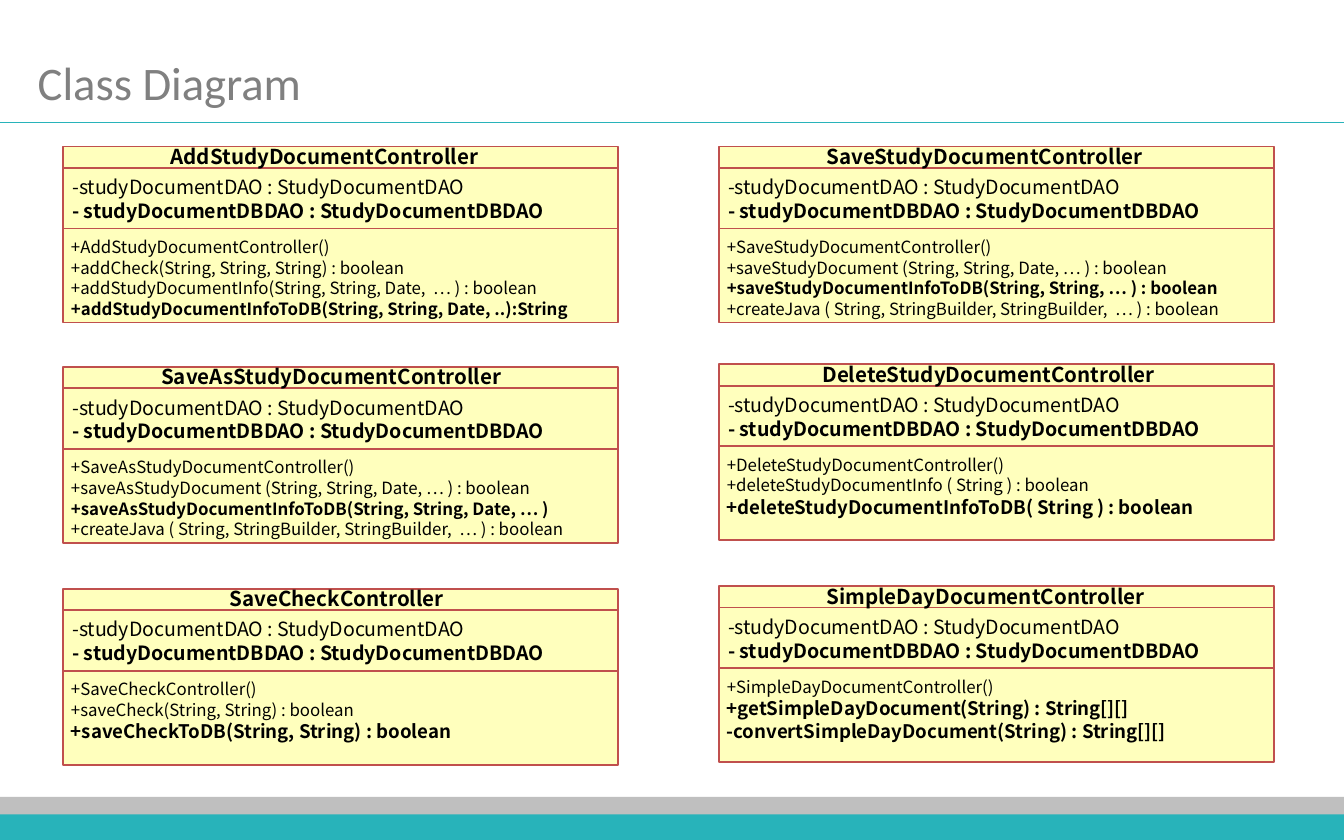
import pptx
import pptx.dml.color
import pptx.enum.shapes
import pptx.enum.text
import pptx.oxml
import pptx.oxml.ns
import pptx.util
from pptx.util import Inches

RGB = pptx.dml.color.RGBColor
TEAL = RGB(0x28, 0xB3, 0xBA)
SILVER = RGB(0xBF, 0xBF, 0xBF)
GRAY = RGB(0x80, 0x80, 0x80)
BLACK = RGB(0x00, 0x00, 0x00)
CREAM = RGB(0xFF, 0xFF, 0xBD)
BRICK = RGB(0xC0, 0x50, 0x4D)

CLASS_FONT = "Noto Sans CJK KR"
LINE_HEIGHT = 1.22
CARD_WIDTH, CARD_HEIGHT = 4.13, 1.31

# Lines of text are (wording, size in points, bold).
ATTRIBUTES = [
    ("-studyDocumentDAO : StudyDocumentDAO", 10.5, False),
    ("- studyDocumentDBDAO : StudyDocumentDBDAO", 10.5, True),
]
CREATE_JAVA = ("+createJava ( String, StringBuilder, StringBuilder,  … ) : boolean", 9, False)

# Each class: card left, card top, indent of the name, name, methods after the constructor.
CLASSES = [
    (0.47, 1.09, 0.70, "AddStudyDocumentController", [
        ("+addCheck(String, String, String) : boolean", 9, False),
        ("+addStudyDocumentInfo(String, String, Date,  … ) : boolean", 9, False),
        ("+addStudyDocumentInfoToDB(String, String, Date, ..):String", 9, True)]),
    (5.35, 1.09, 0.70, "SaveStudyDocumentController", [
        ("+saveStudyDocument (String, String, Date, … ) : boolean", 9, False),
        ("+saveStudyDocumentInfoToDB(String, String, … ) : boolean", 9, True),
        CREATE_JAVA]),
    (0.47, 2.73, 0.63, "SaveAsStudyDocumentController", [
        ("+saveAsStudyDocument (String, String, Date, … ) : boolean", 9, False),
        ("+saveAsStudyDocumentInfoToDB(String, String, Date, … )", 9, True),
        CREATE_JAVA]),
    (5.35, 2.71, 0.67, "DeleteStudyDocumentController", [
        ("+deleteStudyDocumentInfo ( String ) : boolean", 9, False),
        ("+deleteStudyDocumentInfoToDB( String ) : boolean", 10, True)]),
    (0.47, 4.38, 1.14, "SaveCheckController", [
        ("+saveCheck(String, String) : boolean", 9, False),
        ("+saveCheckToDB(String, String) : boolean", 10, True)]),
    (5.35, 4.36, 0.70, "SimpleDayDocumentController", [
        ("+getSimpleDayDocument(String) : String[][]", 10, True),
        ("-convertSimpleDayDocument(String) : String[][]", 10, True)]),
]


def add_rectangle(page, left, top, width, height, fill, line=None):
    shape = page.shapes.add_shape(
        pptx.enum.shapes.MSO_SHAPE.RECTANGLE,
        Inches(left), Inches(top), Inches(width), Inches(height))
    shape.shadow.inherit = False
    shape.fill.solid()
    shape.fill.fore_color.rgb = fill
    if line is None:
        shape.line.fill.background()
    else:
        shape.line.color.rgb = line
        shape.line.width = pptx.util.Pt(1)


def add_rule(page, left, top, width, color, points):
    """Draw a horizontal line without a shadow."""
    rule = page.shapes.add_connector(
        pptx.enum.shapes.MSO_CONNECTOR.STRAIGHT,
        Inches(left), Inches(top), Inches(left + width), Inches(top))
    rule.line.color.rgb = color
    rule.line.width = pptx.util.Pt(points)
    properties = rule._element.spPr
    properties.append(pptx.oxml.parse_xml(
        "<a:effectLst %s/>" % pptx.oxml.ns.nsdecls("a")))


def add_lines(page, left, top, width, height, lines):
    """Add a text box with one paragraph for each line."""
    box = page.shapes.add_textbox(
        Inches(left), Inches(top), Inches(width), Inches(height))
    frame = box.text_frame
    frame.word_wrap = True
    frame.text = "\n".join(text for text, size, bold in lines)
    for para, (text, size, bold) in zip(frame.paragraphs, lines):
        para.line_spacing = pptx.util.Pt(round(size * LINE_HEIGHT, 1))
        font = para.runs[0].font
        font.name = CLASS_FONT
        font.size = pptx.util.Pt(size)
        font.bold = bold
        font.color.rgb = BLACK


def add_class_card(page, left, top, name_indent, name, methods):
    add_rectangle(page, left, top, CARD_WIDTH, CARD_HEIGHT, CREAM, BRICK)
    for offset in (0.16, 0.61):
        add_rule(page, left, top + offset, CARD_WIDTH, BRICK, 1)
    add_lines(page, left + name_indent, top - 0.07, 3.01, 0.29, [(name, 11, True)])
    add_lines(page, left - 0.03, top + 0.16, 4.1, 0.45, ATTRIBUTES)
    constructor = ("+%s()" % name, 9, False)
    add_lines(page, left - 0.04, top + 0.62, 4.2, 0.7, [constructor] + methods)


def add_header(page, width):
    title = page.shapes.title
    title.left, title.top = Inches(0.12), Inches(0.35)
    title.width, title.height = Inches(2.28), Inches(0.52)
    frame = title.text_frame
    frame.text = "Class Diagram"
    frame.word_wrap = False
    frame.vertical_anchor = pptx.enum.text.MSO_ANCHOR.TOP
    para = frame.paragraphs[0]
    para.alignment = pptx.enum.text.PP_ALIGN.CENTER
    font = para.runs[0].font
    font.name = "Calibri"
    font.size = pptx.util.Pt(25)
    font.color.rgb = GRAY
    add_rule(page, 0, 0.91, width, TEAL, 0.75)


def add_footer(page, width):
    add_rectangle(page, 0, 5.93, width, 0.17, SILVER)
    add_rectangle(page, 0, 6.06, width, 0.22, TEAL)


def main():
    deck = pptx.Presentation()
    deck.slide_width, deck.slide_height = Inches(10), Inches(6.25)
    page = deck.slides.add_slide(deck.slide_layouts.get_by_name("Title Only"))
    add_footer(page, 10)
    add_header(page, 10)
    for card in CLASSES:
        add_class_card(page, *card)
    deck.save("out.pptx")


if __name__ == "__main__":
    main()
